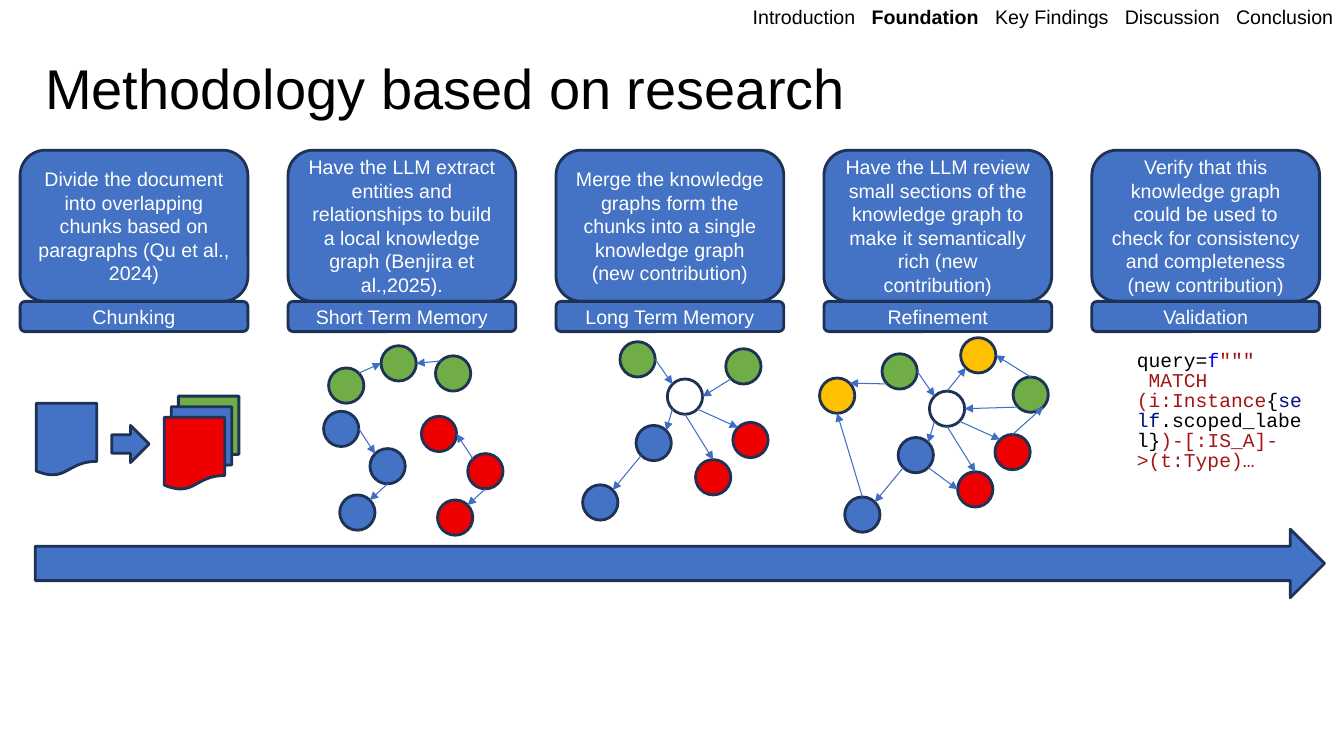
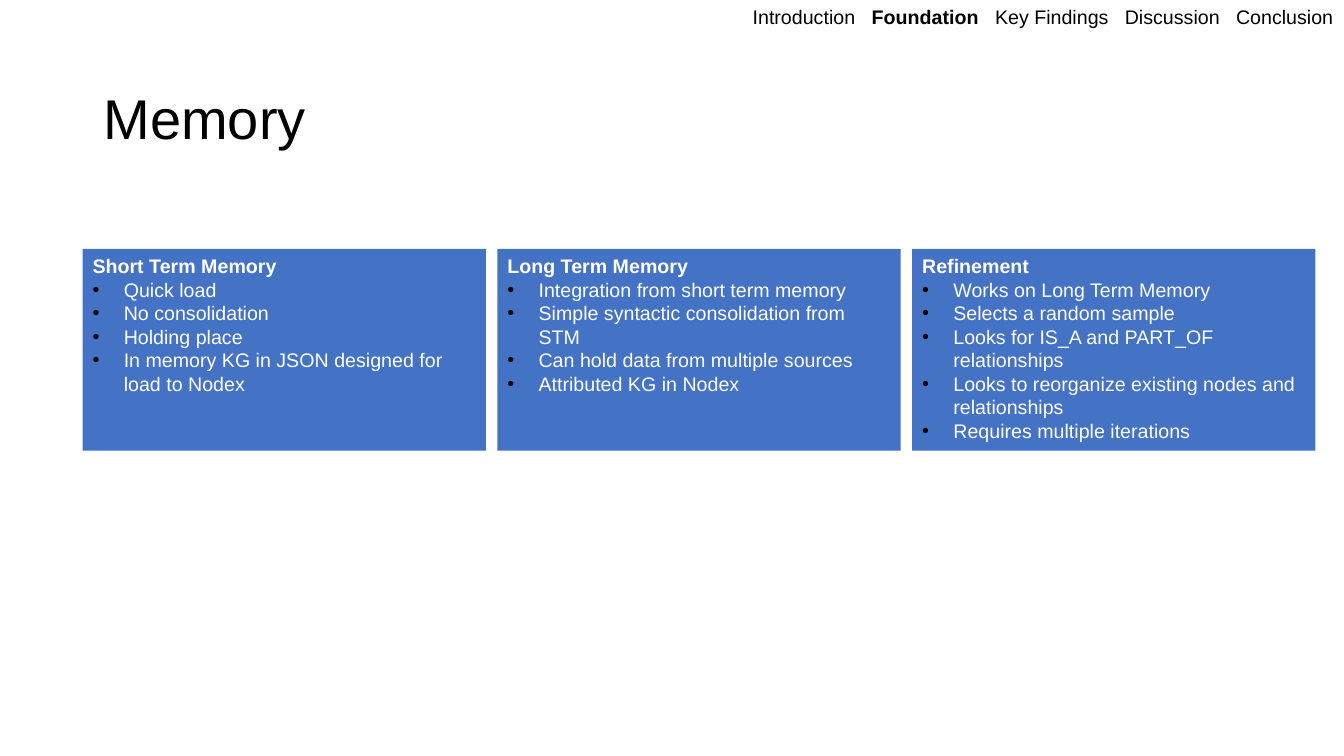
from lxml import etree
from pptx import Presentation
from pptx import util as u
from pptx.dml.color import RGBColor
from pptx.enum import shapes, text
from pptx.oxml import ns

CELL = 0.1
BLUE, GREEN, RED, GOLD = "4472C4", "70AD47", "EE0000", "FFC000"
WHITE, BLACK, OUTLINE, EDGE = "FFFFFF", "000000", "1E3256", "3F6FC3"
CODE_BLUE, CODE_RED, CODE_NAVY = "0000FF", "A31515", "001080"
NODE = 3.5
DIAGONAL = 0.3536
SITES = {"n": (0, -0.5), "s": (0, 0.5), "w": (-0.5, 0), "e": (0.5, 0),
         "nw": (-DIAGONAL, -DIAGONAL), "ne": (DIAGONAL, -DIAGONAL),
         "sw": (-DIAGONAL, DIAGONAL), "se": (DIAGONAL, DIAGONAL)}
SHAPE = shapes.MSO_SHAPE
ALIGN = text.PP_ALIGN

STEPS = [
    ("Chunking", "Divide the document into overlapping chunks based on paragraphs (Qu et al., 2024)"),
    ("Short Term Memory", "Have the LLM extract entities and relationships to build a local "
     "knowledge graph (Benjira et al.,2025)."),
    ("Long Term Memory", "Merge the knowledge graphs form the chunks into a single knowledge "
     "graph (new contribution)"),
    ("Refinement", "Have the LLM review small sections of the knowledge graph to make it "
     "semantically rich (new contribution)"),
    ("Validation", "Verify that this knowledge graph could be used to check for consistency "
     "and completeness (new contribution)"),
]

QUERY = [
    [("query=", {}), ("f", {"color": CODE_BLUE}), ('"""', {"color": CODE_RED})],
    [(" MATCH (i:Instance", {"color": CODE_RED}), ("{", {}), ("self", {"color": CODE_NAVY}),
     (".scoped_label}", {}), (")-[:IS_A]->(t:Type)…", {"color": CODE_RED})],
]

LOCAL_NODES = {
    "a": (32.6, 36.5, GREEN), "b": (37.8, 34.3, GREEN), "c": (43.2, 35.3, GREEN),
    "d": (32.1, 40.8, BLUE), "e": (36.7, 44.5, BLUE), "f": (33.7, 49.1, BLUE),
    "g": (41.8, 41.3, RED), "h": (46.4, 45, RED), "i": (43.4, 49.6, RED),
}
LOCAL_EDGES = ["a ne b w", "c nw b e", "d e e nw", "e s f ne", "h nw g e", "h s i ne"]

MERGED_NODES = {
    "left": (61.5, 33.9, GREEN), "right": (72, 34.6, GREEN), "hub": (66.2, 37.6, WHITE),
    "blue": (63.1, 42.2, BLUE), "leaf": (57.8, 48.1, BLUE),
    "low": (69, 45.6, RED), "high": (72.7, 41.9, RED),
}
MERGED_EDGES = ["left e hub nw", "right sw hub e", "hub s low n", "hub sw blue ne",
                "blue sw leaf ne", "hub se high nw"]

REFINED_NODES = {k: (x + 26, y + 1.2, c) for k, (x, y, c) in MERGED_NODES.items()} | {
    "right": (100.5, 37.4, GREEN), "west": (81.3, 37.5, GOLD), "top": (95.3, 33.5, GOLD)}
REFINED_EDGES = MERGED_EDGES + ["leaf n west s", "left sw west ne", "blue se low w",
                                "high n right se", "right n top e", "hub n top sw"]

MEMORIES = [
    ("Short Term Memory", ["Quick load", "No consolidation", "Holding place",
                           "In memory KG in JSON designed for load to Nodex"]),
    ("Long Term Memory", ["Integration from short term memory",
                          "Simple syntactic consolidation from STM",
                          "Can hold data from multiple sources", "Attributed KG in Nodex"]),
    ("Refinement", ["Works on Long Term Memory", "Selects a random sample",
                    "Looks for IS_A and PART_OF relationships",
                    "Looks to reorganize existing nodes and relationships",
                    "Requires multiple iterations"]),
]


def rgb(hex_code):
    """Turn a hex string into a colour."""
    return RGBColor.from_string(hex_code)


def cells(*counts):
    """Turn counts of grid cells into lengths."""
    return [u.Inches(n * CELL) for n in counts]


def write(sp, paras, size=14, font="Arial", color=BLACK, align=ALIGN.LEFT,
          anchor=text.MSO_ANCHOR.TOP, spacing=None):
    """Write paragraphs, each a list of runs with their own bold or color."""
    tf = sp.text_frame
    tf.word_wrap = True
    tf.vertical_anchor = anchor
    for i, runs in enumerate(paras):
        p = tf.paragraphs[0] if i == 0 else tf.add_paragraph()
        p.alignment = align
        if spacing:
            p.line_spacing = u.Pt(spacing)
        for words, look in runs:
            r = p.add_run()
            r.text = words
            r.font.name, r.font.size = font, u.Pt(size)
            r.font.bold = look.get("bold", False)
            r.font.color.rgb = rgb(look.get("color", color))
    return tf


def add_text(s, box, paras, **look):
    """Add a text box."""
    return write(s.shapes.add_textbox(*cells(*box)), paras, **look)


def add_shape(s, kind, box, fill=BLUE, line=OUTLINE):
    """Add a filled preset shape, outlined if a line colour is given."""
    sp = s.shapes.add_shape(kind, *cells(*box))
    sp.shadow.inherit = False
    sp.fill.solid()
    sp.fill.fore_color.rgb = rgb(fill)
    if line:
        sp.line.color.rgb = rgb(line)
        sp.line.width = u.Pt(2)
    else:
        sp.line.fill.background()
    return sp


def add_label(s, box, words):
    """Add a rounded box with centred white text."""
    sp = add_shape(s, SHAPE.ROUNDED_RECTANGLE, box)
    write(sp, [[(words, {})]], color=WHITE, align=ALIGN.CENTER, anchor=text.MSO_ANCHOR.MIDDLE)


def add_arrow(s, start, end):
    """Add a thin line with an arrowhead at its end."""
    cx = s.shapes.add_connector(shapes.MSO_CONNECTOR.STRAIGHT, *cells(*start, *end))
    cx.line.color.rgb = rgb(EDGE)
    cx.line.width = u.Pt(0.75)
    etree.SubElement(cx.line._get_or_add_ln(), ns.qn("a:tailEnd"), type="triangle")
    etree.SubElement(cx._element.spPr, ns.qn("a:effectLst"))


def add_graph(s, nodes, edges):
    """Draw round nodes and the arrows between their compass points."""
    for x, y, fill in nodes.values():
        add_shape(s, SHAPE.OVAL, (x, y, NODE, NODE), fill)

    def point(name, site):
        """Find a compass point on a node's rim."""
        return [at + NODE * (0.5 + d) for at, d in zip(nodes[name], SITES[site])]

    for edge in edges:
        tail, tail_site, head, head_site = edge.split()
        add_arrow(s, point(tail, tail_site), point(head, head_site))


def add_bullet(p):
    """Give a paragraph a black bullet and a hanging indent."""
    pPr = p._p.get_or_add_pPr()
    pPr.set("marL", str(u.Inches(0.31)))
    pPr.set("indent", str(-u.Inches(0.31)))
    clr = etree.SubElement(pPr, ns.qn("a:buClr"))
    etree.SubElement(clr, ns.qn("a:srgbClr"), val=BLACK)
    etree.SubElement(pPr, ns.qn("a:buFont"), typeface="Arial")
    etree.SubElement(pPr, ns.qn("a:buChar"), char="•")


def add_slide(prs, title, left, top):
    """Add a blank slide with its title and the section trail."""
    s = prs.slides.add_slide(prs.slide_layouts[6])
    add_text(s, (left, top, 114.6, 10.7), [[(title, {})]], size=40)
    trail = [("Introduction   ", {}), ("Foundation ", {"bold": True}),
             ("  Key Findings   Discussion   Conclusion", {})]
    add_text(s, (70, 0, 63.3, 3.4), [trail], align=ALIGN.RIGHT)
    return s


def methodology(prs):
    """Build the slide of the five steps."""
    s = add_slide(prs, "Methodology based on research", 3.5, 4.8)
    for i, (name, task) in enumerate(STEPS):
        left = 2 + 26.58 * i
        add_label(s, (left, 14.9, 22.6, 15), task)
        add_label(s, (left, 29.9, 22.6, 3), name)
    add_shape(s, SHAPE.FLOWCHART_DOCUMENT, (3.6, 40, 6, 7.2))
    add_shape(s, SHAPE.RIGHT_ARROW, (11.1, 42.2, 3.7, 3.7))
    for i, fill in enumerate((GREEN, BLUE, RED)):
        add_shape(s, SHAPE.FLOWCHART_DOCUMENT, (17.7 - 0.7 * i, 39.3 + 1.05 * i, 6, 7.2), fill)
    add_graph(s, LOCAL_NODES, LOCAL_EDGES)
    add_graph(s, MERGED_NODES, MERGED_EDGES)
    add_graph(s, REFINED_NODES, REFINED_EDGES)
    add_text(s, (111.8, 34.4, 19.5, 12.9), QUERY, font="Courier New", spacing=14.2)
    add_shape(s, SHAPE.RIGHT_ARROW, (3.5, 52.5, 127.9, 6.8))


def memory(prs):
    """Build the slide that compares the memories."""
    s = add_slide(prs, "Memory", 9.3, 7.8)
    for i, (name, points) in enumerate(MEMORIES):
        sp = add_shape(s, SHAPE.RECTANGLE, (8.2 + 41.15 * i, 24.7, 40, 20), line=None)
        paras = [[(name, {"bold": True})]] + [[(words, {})] for words in points]
        tf = write(sp, paras, color=WHITE)
        for p in tf.paragraphs[1:]:
            add_bullet(p)


def main():
    """Build and save the presentation."""
    prs = Presentation()
    prs.slide_width, prs.slide_height = cells(133.33, 75)
    methodology(prs)
    memory(prs)
    prs.save("out.pptx")


if __name__ == "__main__":
    main()
